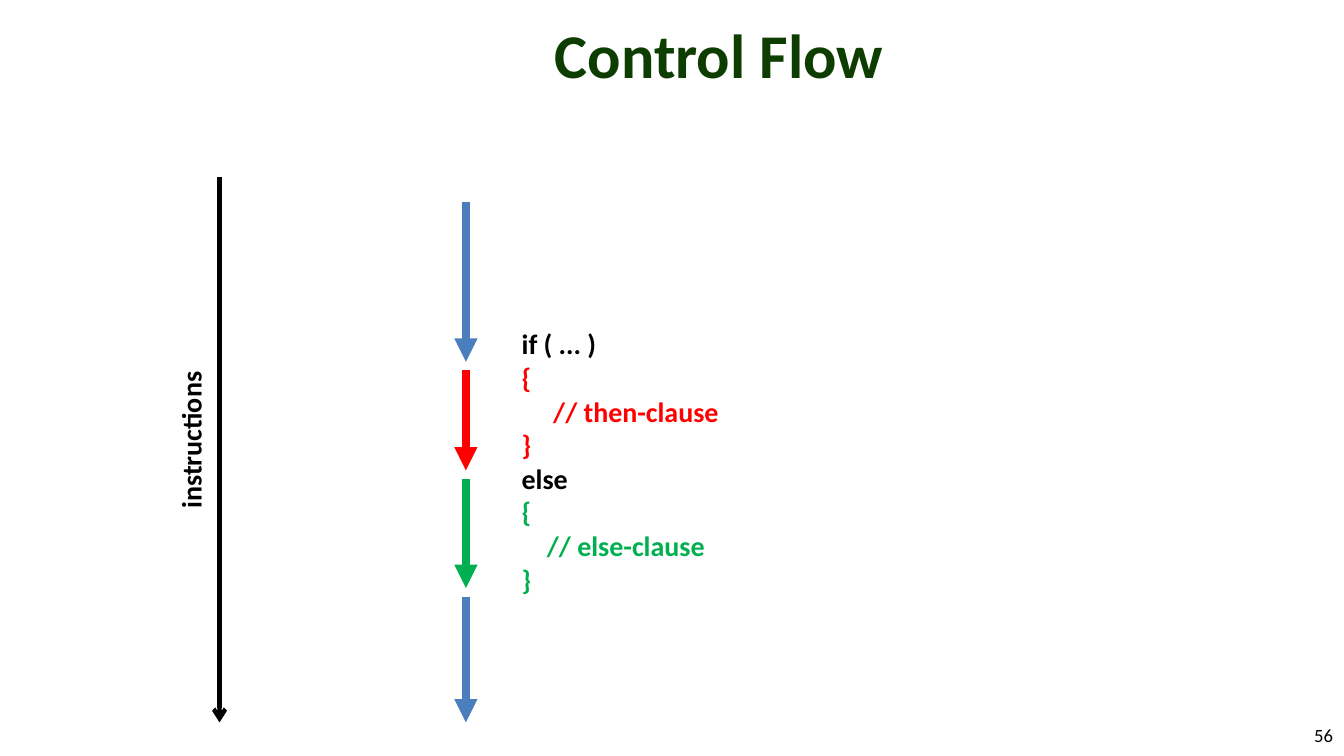
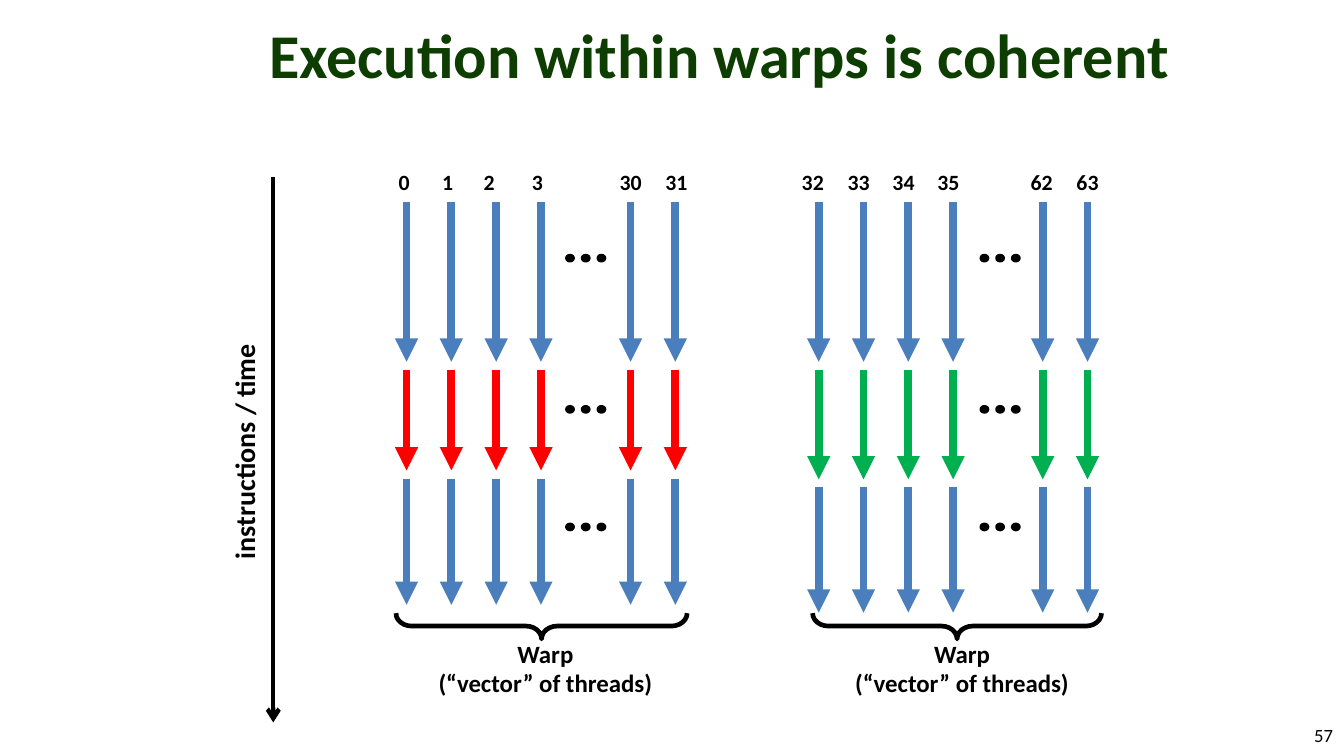
"""Build two slides on control flow and coherent execution within warps."""
import pptx
import pptx.dml.color
import pptx.enum.shapes
import pptx.enum.text
import pptx.oxml
import pptx.oxml.ns
import pptx.util

SCALE = 9144
COLORS = {
    "title": "0E3D01",
    "ink": "000000",
    "common": "4B7EBC",
    "then": "FF0000",
    "else": "00B050",
}
FORMATS = {
    "title": {"name": "Calibri", "size": pptx.util.Pt(40), "bold": True},
    "code": {"name": "Calibri", "size": pptx.util.Pt(18), "bold": True},
    "caption": {"name": "Calibri", "size": pptx.util.Pt(16), "bold": True},
    "thread": {"name": "Calibri", "size": pptx.util.Pt(14), "bold": True},
    "number": {"name": "Calibri", "size": pptx.util.Pt(12), "bold": False},
}
ALIGN = pptx.enum.text.PP_ALIGN
ANCHOR = pptx.enum.text.MSO_ANCHOR
SHAPES = pptx.enum.shapes.MSO_SHAPE

CODE = [
    ("if ( ... )", "ink"),
    ("{", "then"),
    ("     // then-clause", "then"),
    ("}", "then"),
    ("else", "ink"),
    ("{", "else"),
    ("    // else-clause", "else"),
    ("}", "else"),
]
BRANCH_STEPS = [
    (180, 323, "common"),
    (330, 420, "then"),
    (428, 525, "else"),
    (533, 645, "common"),
]
LANE_OFFSETS = [0, 1, 2, 3, 5, 6]
LANE_PITCH = 40
DOT_PITCH = 14
DOT_ROWS = [228, 363, 468]
WARPS = [
    {
        "left": 363,
        "first_thread": 0,
        "label_lefts": [346, 385, 422, 465, 542, 583],
        "steps": [(180, 323, "common"), (330, 420, "then"), (428, 540, "common")],
        "dots": 506,
        "brace": (472, 429, 23, 260),
        "caption": 367,
    },
    {
        "left": 731,
        "first_thread": 32,
        "label_lefts": [706, 747, 787, 827, 909, 950],
        "steps": [(180, 323, "common"), (330, 428, "else"), (435, 547, "common")],
        "dots": 876,
        "brace": (843, 430, 23, 258),
        "caption": 739,
    },
]


def px(*lengths):
    """Turn px lengths into a list of EMU lengths."""
    return [pptx.util.Emu(length * SCALE) for length in lengths]


def rgb(color):
    """Look up a named colour."""
    return pptx.dml.color.RGBColor.from_string(COLORS[color])


class Deck:
    """Hold the shared style and the current slide."""

    def __init__(self):
        """Start an empty presentation."""
        self.presentation = pptx.Presentation()
        self.presentation.slide_width, self.presentation.slide_height = px(1200, 675)
        self.slide = None

    def start_slide(self, title, number):
        """Add a slide with its title and number."""
        layout = self.presentation.slide_layouts.get_by_name("Title Only")
        self.slide = self.presentation.slides.add_slide(layout)
        shape = self.slide.shapes.title
        shape.left, shape.top, shape.width, shape.height = px(117, 0, 1050, 96)
        self.set_lines(shape, [(title, "title")], "title", ALIGN.CENTER, ANCHOR.MIDDLE)
        self.text((1152, 638, 48, 36), [(number, "ink")], "number", ALIGN.RIGHT,
                  anchor=ANCHOR.MIDDLE, grow=False)

    def set_lines(self, shape, lines, style, align, anchor):
        """Fill a shape with one coloured paragraph per line."""
        frame = shape.text_frame
        frame.vertical_anchor = anchor
        for index, (line, color) in enumerate(lines):
            paragraph = frame.add_paragraph() if index else frame.paragraphs[0]
            paragraph.alignment = align
            run = paragraph.add_run()
            run.text = line
            for name, value in FORMATS[style].items():
                setattr(run.font, name, value)
            run.font.color.rgb = rgb(color)

    def text(self, box, lines, style, align=ALIGN.LEFT, anchor=ANCHOR.TOP,
             wrap=True, grow=True, rotation=0):
        """Add a text box."""
        shape = self.slide.shapes.add_textbox(*px(*box))
        shape.rotation = rotation
        shape.text_frame.word_wrap = wrap
        if grow:
            shape.text_frame.auto_size = pptx.enum.text.MSO_AUTO_SIZE.SHAPE_TO_FIT_TEXT
        self.set_lines(shape, lines, style, align, anchor)

    def arrow(self, x, top, bottom, color, width=5, head="triangle"):
        """Add a downward arrow."""
        connector = self.slide.shapes.add_connector(
            pptx.enum.shapes.MSO_CONNECTOR.STRAIGHT, *px(x, top, x, bottom))
        connector.line.color.rgb = rgb(color)
        connector.line.width = pptx.util.Pt(width)
        properties = connector.element.spPr
        tail = pptx.oxml.parse_xml(
            f'<a:tailEnd {pptx.oxml.ns.nsdecls("a")} type="{head}"/>')
        properties.get_or_add_ln().append(tail)
        properties.append(pptx.oxml.parse_xml(
            f'<a:effectLst {pptx.oxml.ns.nsdecls("a")}/>'))

    def shape(self, kind, box, line_width):
        """Add an ink-outlined preset shape."""
        shape = self.slide.shapes.add_shape(kind, *px(*box))
        shape.shadow.inherit = False
        shape.line.color.rgb = rgb("ink")
        shape.line.width = pptx.util.Pt(line_width)
        return shape

    def dots(self, left, top):
        """Add a three-dot ellipsis."""
        for index in range(3):
            dot = self.shape(SHAPES.OVAL, (left + index * DOT_PITCH, top, 6, 5), 2)
            dot.fill.solid()
            dot.fill.fore_color.rgb = rgb("ink")

    def brace(self, box):
        """Add a brace that opens upward."""
        brace = self.shape(SHAPES.RIGHT_BRACE, box, 3)
        brace.fill.background()
        brace.rotation = 90
        brace.adjustments[0] = 0.61
        brace.adjustments[1] = 0.5

    def axis(self, x, label, box, align):
        """Add the long labelled arrow at the left."""
        self.arrow(x, 158, 645, "ink", 2.75, "arrow")
        self.text(box, [(label, "ink")], "code", align, rotation=270)

    def warp(self, warp):
        """Add the threads, ellipses, brace and caption of one warp."""
        for offset, label_left in zip(LANE_OFFSETS, warp["label_lefts"]):
            for step in warp["steps"]:
                self.arrow(warp["left"] + offset * LANE_PITCH, *step)
            after_gap = offset > 3
            thread = warp["first_thread"] + offset + (25 if after_gap else 0)
            self.text((label_left, 146, 42 if thread > 9 else 31, 34),
                      [(str(thread), "ink")], "thread",
                      ALIGN.CENTER if after_gap else ALIGN.LEFT, wrap=False)
        for top in DOT_ROWS:
            self.dots(warp["dots"], top)
        self.brace(warp["brace"])
        self.text((warp["caption"], 565, 240, 64),
                  [("Warp", "ink"), ("(“vector” of threads)", "ink")],
                  "caption", ALIGN.CENTER, wrap=False)


def main():
    """Build and save both slides."""
    deck = Deck()

    deck.start_slide("Control Flow", "56")
    for step in BRANCH_STEPS:
        deck.arrow(416, *step)
    deck.text((456, 287, 360, 313), CODE, "code")
    deck.axis(196, "instructions", (54, 373, 232, 40), ALIGN.CENTER)

    deck.start_slide("Execution within warps is coherent", "57")
    deck.axis(244, "instructions / time", (76, 347, 284, 40), ALIGN.LEFT)
    for warp in WARPS:
        deck.warp(warp)

    deck.presentation.save("out.pptx")


if __name__ == "__main__":
    main()
